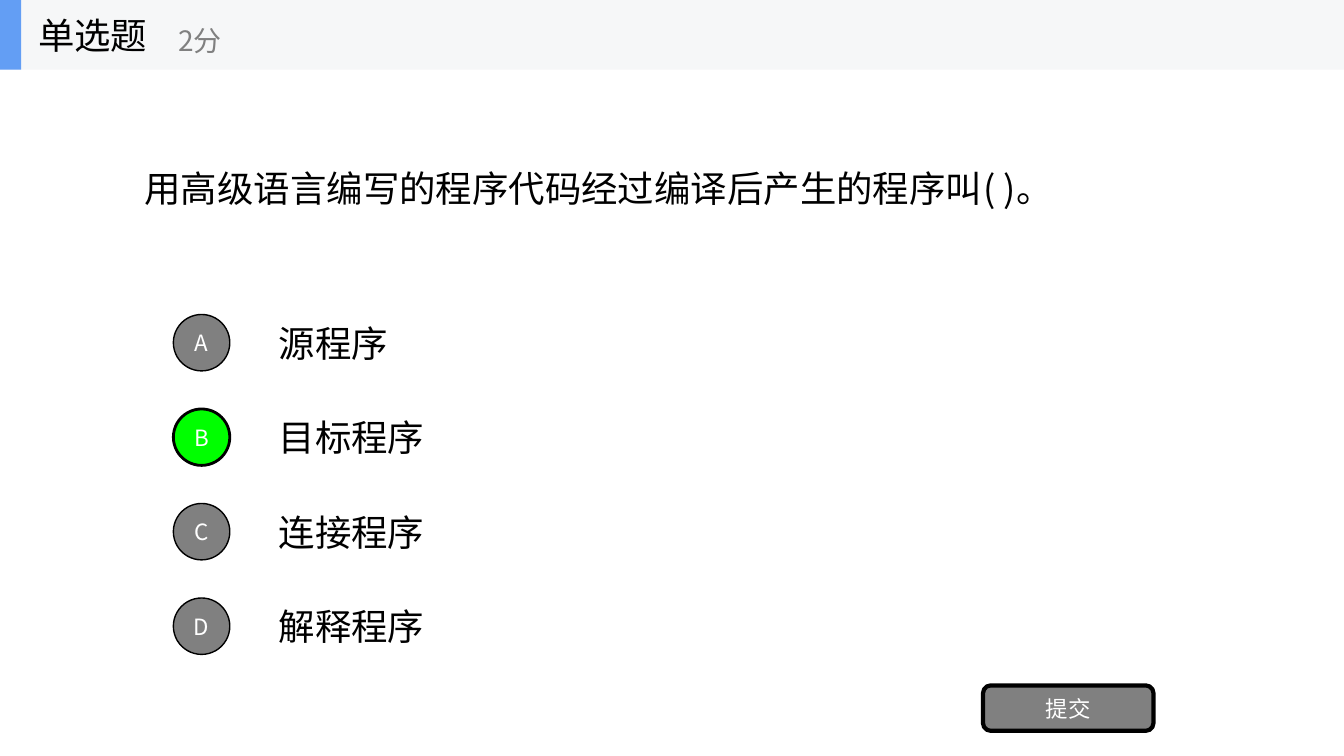
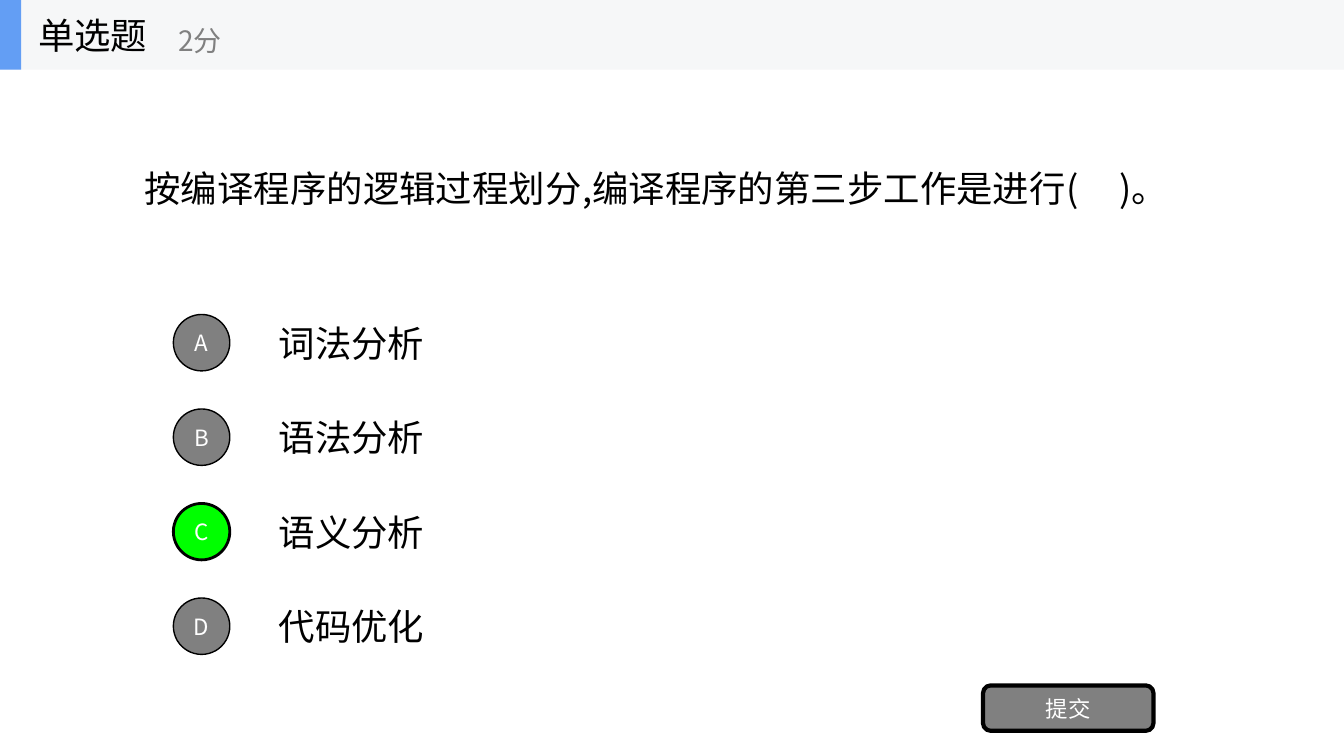
"""Build two single-choice quiz slides."""
from dataclasses import dataclass

from lxml import etree
from pptx import Presentation
from pptx import util as u
from pptx.dml.color import RGBColor
from pptx.enum import shapes, text
from pptx.oxml.ns import qn

KIND, MARKS = "单选题", "2分"
SUBMIT = "提交"
QUIZ = [
    {"ask": "用高级语言编写的程序代码经过编译后产生的程序叫( )。",
     "picks": ["源程序", "目标程序", "连接程序", "解释程序"], "key": "B"},
    {"ask": "按编译程序的逻辑过程划分,编译程序的第三步工作是进行(     )。",
     "picks": ["词法分析", "语法分析", "语义分析", "代码优化"], "key": "C"},
]


@dataclass(frozen=True)
class Theme:
    """Colours, type sizes and font."""
    band: str = "F6F7F8"
    tab: str = "639EF4"
    ink: str = "000000"
    grey: str = "808080"
    right: str = "00FF00"
    white: str = "FFFFFF"
    big: int = 26
    mid: int = 20
    small: int = 16
    face: str = "Noto Sans CJK SC"


T = Theme()
WIDE, HIGH = 13.33, 7.5
BAND = 0.69
COL = WIDE / 10
ROW = HIGH / 8
TOP, LINE = 3.05, 0.7
DOT = 0.56
OVAL, ROUND, RECT = (shapes.MSO_SHAPE.OVAL, shapes.MSO_SHAPE.ROUNDED_RECTANGLE,
                     shapes.MSO_SHAPE.RECTANGLE)
LEFT, MID = text.PP_ALIGN.LEFT, text.PP_ALIGN.CENTER


def inches(*box):
    """Turn numbers into lengths."""
    return [u.Inches(n) for n in box]


def write(shape, words, size, color, align=LEFT, wrap=True):
    """Put one styled paragraph in a shape."""
    frame = shape.text_frame
    frame.auto_size = text.MSO_AUTO_SIZE.NONE
    frame.word_wrap = wrap
    frame.vertical_anchor = text.MSO_ANCHOR.MIDDLE
    para = frame.paragraphs[0]
    para.text, para.alignment = words, align
    font = para.font
    font.size, font.name = u.Pt(size), T.face
    font.color.rgb = RGBColor.from_string(color)
    etree.SubElement(font._element, qn("a:ea")).set("typeface", T.face)


def label(slide, box, words, size=T.big, color=T.ink):
    """Add a text box."""
    write(slide.shapes.add_textbox(*inches(*box)), words, size, color)


def block(slide, kind, box, fill, line=0, words=""):
    """Add a filled shape, with an outline and centred words if given."""
    shape = slide.shapes.add_shape(kind, *inches(*box))
    shape.shadow.inherit = False
    shape.fill.solid()
    shape.fill.fore_color.rgb = RGBColor.from_string(fill)
    if line:
        shape.line.color.rgb = RGBColor.from_string(T.ink)
        shape.line.width = u.Pt(line)
    else:
        shape.line.fill.background()
    if words:
        write(shape, words, T.small, T.white, MID, False)


def header(slide):
    """Draw the band with the question kind and its marks."""
    block(slide, RECT, (0, 0, WIDE, BAND), T.band)
    block(slide, RECT, (0, 0, 0.21, BAND), T.tab)
    label(slide, (0.28, 0, 2.08, BAND), KIND)
    label(slide, (1.67, 0.12, 2.5, DOT), MARKS, T.mid, T.grey)


def build(deck, ask, picks, key):
    """Add one quiz slide."""
    slide = deck.slides.add_slide(deck.slide_layouts[5])
    title = slide.shapes.title
    title.left, title.top, title.width, title.height = inches(
        COL, BAND, 8 * COL, 2.34)
    write(title, ask, T.big, T.ink)
    header(slide)
    for row, (mark, pick) in enumerate(zip("ABCD", picks)):
        top = TOP + row * ROW
        hit = mark == key
        label(slide, (2 * COL, top, 7 * COL, LINE), pick)
        block(slide, OVAL, (1.5 * COL - DOT / 2, top + (LINE - DOT) / 2, DOT, DOT),
              T.right if hit else T.grey, 2 if hit else 1, mark)
    block(slide, ROUND, (9.75, 6.8, 1.69, 0.45), T.grey, 3, SUBMIT)


def main():
    """Build and save the deck."""
    deck = Presentation()
    deck.slide_width, deck.slide_height = inches(WIDE, HIGH)
    for item in QUIZ:
        build(deck, **item)
    deck.save("out.pptx")


if __name__ == "__main__":
    main()
